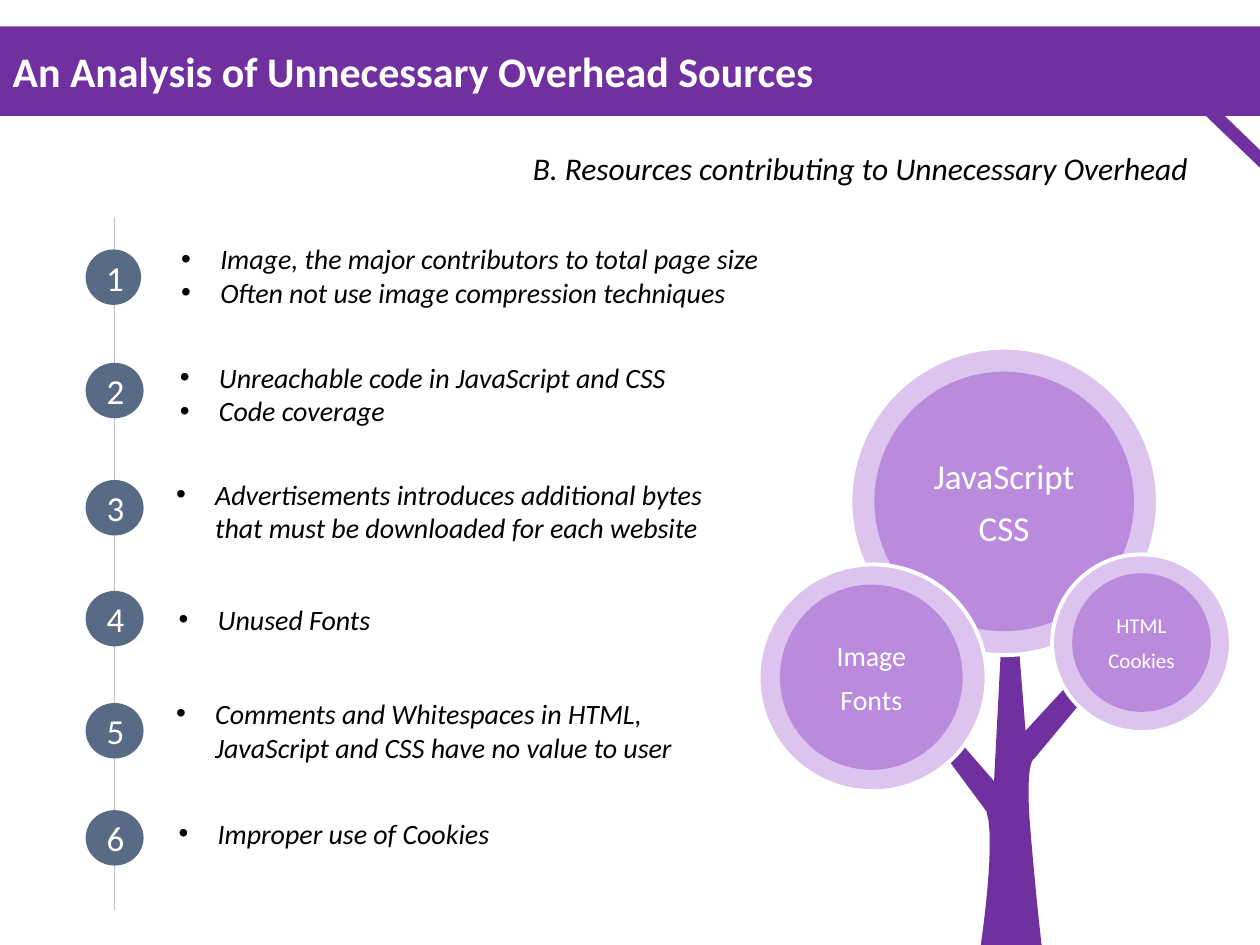
from lxml import etree
from pptx import Presentation
from pptx import util as u
from pptx.dml.color import RGBColor
from pptx.enum import shapes, text
from pptx.oxml import ns

PX = u.Inches(1) // 100
PURPLE = RGBColor(0x70, 0x30, 0xA0)
LILAC = RGBColor(0xDC, 0xC4, 0xEE)
VIOLET = RGBColor(0xBA, 0x8B, 0xDD)
SLATE = RGBColor(0x59, 0x6A, 0x85)
GREY = RGBColor(0xBF, 0xBF, 0xBF)
WHITE = RGBColor(0xFF, 0xFF, 0xFF)
BLACK = RGBColor(0, 0, 0)


def write_text(shape, lines, size, color=BLACK, bold=False, italic=False,
               align=text.PP_ALIGN.LEFT, after=0, inset=True, bullet=False,
               anchor=text.MSO_ANCHOR.TOP, wrap=True, fit=text.MSO_AUTO_SIZE.NONE):
    frame = shape.text_frame
    frame.word_wrap = wrap
    frame.auto_size = fit
    frame.vertical_anchor = anchor
    frame.margin_left = frame.margin_right = 10 * PX if inset else 0
    frame.margin_top = frame.margin_bottom = 5 * PX if inset else 0
    for index, line in enumerate(lines):
        paragraph = frame.add_paragraph() if index else frame.paragraphs[0]
        paragraph.alignment = align
        paragraph.space_before = u.Pt(0)
        paragraph.space_after = u.Pt(after)
        if bullet:
            properties = paragraph._p.get_or_add_pPr()
            properties.set("marL", str(31 * PX))
            properties.set("indent", str(-31 * PX))
            etree.SubElement(properties, ns.qn("a:buFont"), typeface="Arial")
            etree.SubElement(properties, ns.qn("a:buChar"), char="•")
        run = paragraph.add_run()
        run.text = line
        run.font.name = "Calibri"
        run.font.size = u.Pt(size)
        run.font.bold = bold
        run.font.italic = italic
        run.font.color.rgb = color


def curve(*controls, steps=12):
    points = []
    for step in range(1, steps + 1):
        t = step / steps
        weights = ((1 - t) ** 3, 3 * t * (1 - t) ** 2, 3 * t ** 2 * (1 - t), t ** 3)
        points.append(tuple(sum(w * c[axis] for w, c in zip(weights, controls))
                            for axis in (0, 1)))
    return points


presentation = Presentation()
presentation.slide_width = 1000 * PX
presentation.slide_height = 750 * PX
slide = presentation.slides.add_slide(presentation.slide_layouts[5])

title = slide.shapes.title
title.left, title.top, title.width, title.height = 0, 21 * PX, 1000 * PX, 71 * PX
title.fill.solid()
title.fill.fore_color.rgb = PURPLE
write_text(title, ["An Analysis of Unnecessary Overhead Sources"], 24, color=WHITE,
           bold=True, anchor=text.MSO_ANCHOR.MIDDLE)

subtitle = slide.shapes.add_textbox(413 * PX, 113 * PX, 541 * PX, 40 * PX)
write_text(subtitle, ["B. Resources contributing to Unnecessary Overhead"], 18,
           italic=True, wrap=False, fit=text.MSO_AUTO_SIZE.SHAPE_TO_FIT_TEXT)

ribbon = [(1002, 121), (970, 90), (955, 90), (1002, 135)]
trunk = [
    (778, 753),
    *curve((778, 753), (778, 753), (791, 669), (783, 644)),
    (726, 567), (736, 559), (789, 620), (795, 505), (808, 505),
    (814, 580), (860, 530), (870, 543), (821, 602),
    *curve((821, 602), (821, 602), (813, 602), (818, 661)),
    *curve((818, 661), (823, 720), (827, 752), (827, 752)),
]
for outline in (ribbon, trunk):
    points = [(x * PX, y * PX) for x, y in outline]
    builder = slide.shapes.build_freeform(*points[0])
    builder.add_line_segments(points[1:], close=True)
    shape = builder.convert_to_shape()
    shape.shadow.inherit = False
    shape.fill.solid()
    shape.fill.fore_color.rgb = PURPLE
    shape.line.fill.background()

crowns = [
    ((675, 276, 244, 244), (694, 295, 206, 206), ["JavaScript", "CSS"], 20),
    ((835, 440, 142, 141), (851, 455, 110, 110), ["HTML", "Cookies"], 12),
    ((602, 448, 181, 180), (619, 464, 145, 147), ["Image", "Fonts"], 16),
]
for outer, inner, labels, size in crowns:
    for box, color in ((outer, LILAC), (inner, VIOLET)):
        crown = slide.shapes.add_shape(shapes.MSO_SHAPE.OVAL, *(n * PX for n in box))
        crown.shadow.inherit = False
        crown.fill.solid()
        crown.fill.fore_color.rgb = color
        if box is outer:
            crown.line.color.rgb = WHITE
            crown.line.width = u.Pt(2.25)
        else:
            crown.line.fill.background()
            write_text(crown, labels, size, color=WHITE, align=text.PP_ALIGN.CENTER,
                       after=6, inset=False, anchor=text.MSO_ANCHOR.MIDDLE)

timeline = slide.shapes.add_connector(shapes.MSO_CONNECTOR.STRAIGHT,
                                      91 * PX, 172 * PX, 91 * PX, 722 * PX)
timeline.line.color.rgb = GREY
timeline.line.width = u.Pt(0.5)
etree.SubElement(timeline._element.spPr, ns.qn("a:effectLst"))

findings = [
    (198, 44, (134, 187, 480, 64), False,
     ["Image, the major contributors to total page size",
      "Often not use image compression techniques"]),
    (288, 46, (133, 281, 406, 64), False,
     ["Unreachable code in JavaScript and CSS", "Code coverage"]),
    (381, 46, (130, 374, 463, 64), True,
     ["Advertisements introduces additional bytes that must be downloaded for each website"]),
    (469, 46, (132, 473, 173, 37), False, ["Unused Fonts"]),
    (558, 46, (130, 548, 463, 64), True,
     ["Comments and Whitespaces in HTML, JavaScript and CSS have no value to user"]),
    (643, 46, (132, 643, 267, 37), False, ["Improper use of Cookies"]),
]
for number, (top, width, box, wrap, lines) in enumerate(findings, 1):
    badge = slide.shapes.add_shape(shapes.MSO_SHAPE.OVAL, 68 * PX, top * PX,
                                   width * PX, 44 * PX)
    badge.shadow.inherit = False
    badge.fill.solid()
    badge.fill.fore_color.rgb = SLATE
    badge.line.fill.background()
    write_text(badge, [str(number)], 20, color=WHITE, align=text.PP_ALIGN.CENTER,
               anchor=text.MSO_ANCHOR.MIDDLE)
    finding = slide.shapes.add_textbox(*(n * PX for n in box))
    write_text(finding, lines, 16, italic=True, bullet=True, wrap=wrap,
               fit=text.MSO_AUTO_SIZE.SHAPE_TO_FIT_TEXT)

presentation.save("out.pptx")
